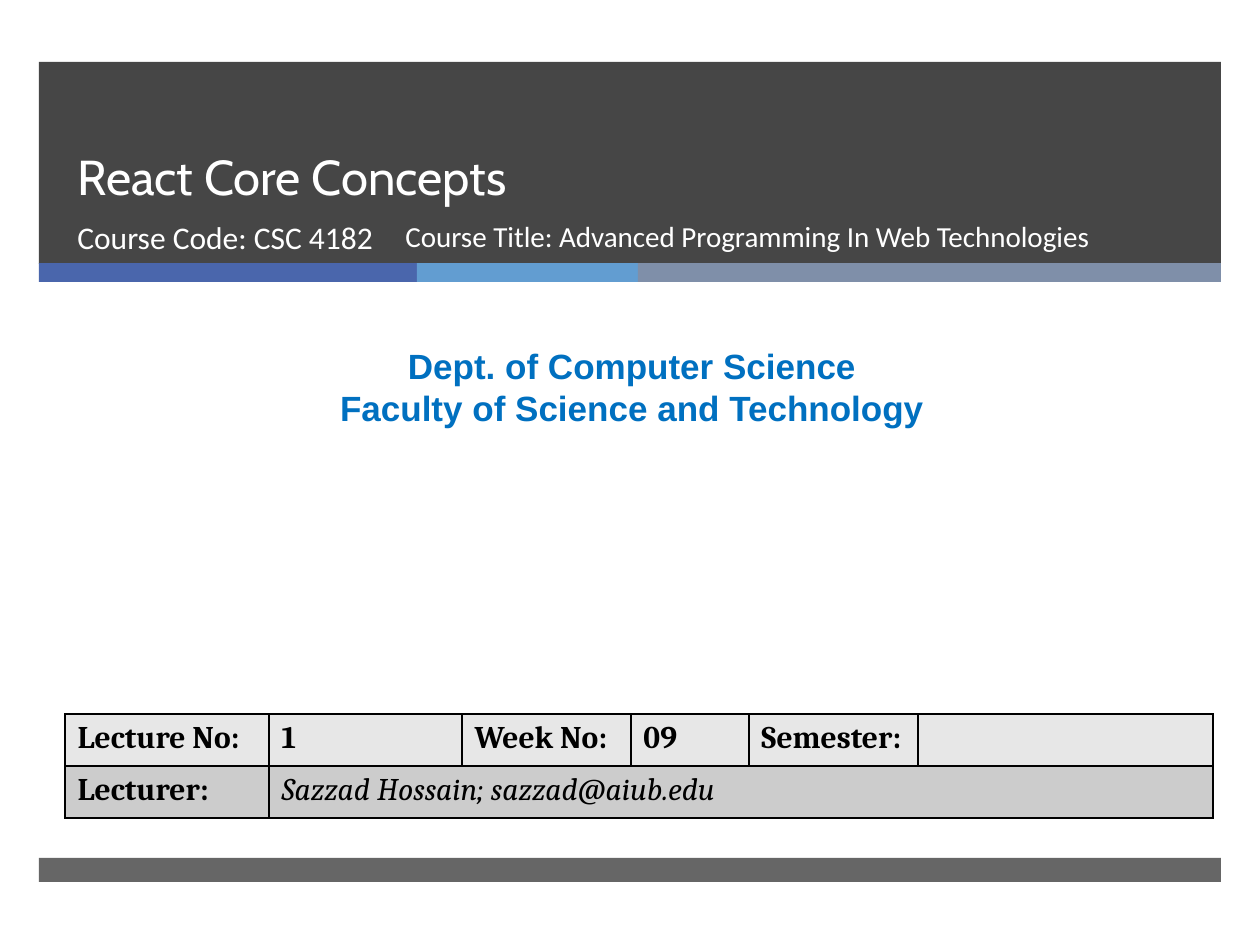
from dataclasses import dataclass
from itertools import accumulate

from lxml.etree import SubElement
from pptx import Presentation
from pptx.dml.color import RGBColor as RGB
from pptx.enum.shapes import MSO_SHAPE as Shape
from pptx.enum.text import MSO_ANCHOR as Anchor, MSO_AUTO_SIZE as Fit, PP_ALIGN as Align
from pptx.oxml import parse_xml
from pptx.oxml.ns import nsdecls, qn
from pptx.util import Emu, Pt

SCALE = 914400 / 126


@dataclass(frozen=True)
class Theme:
    dark: str = "262626"
    strip: tuple = ("4A66AC", "629DD1", "7F8FA9")
    rows: tuple = ("E7E7E7", "CCCCCC")
    white: str = "FFFFFF"
    black: str = "000000"
    blue: str = "0070C0"
    title: float = 28
    lead: float = 46
    body: float = 18
    course: float = 16.6
    dept: float = 20


LOOK = Theme()


def px(num):
    return Emu(round(num * SCALE))


def style(para, face, size, color, bold=False, italic=False):
    font = para.font
    font.name, font.size = face, Pt(size)
    font.bold, font.italic = bold, italic
    font.color.rgb = RGB.from_string(color)


def add_bar(slide, box, color, alpha=100):
    """Add a plain rectangle; alpha is its opacity in percent."""
    bar = slide.shapes.add_shape(Shape.RECTANGLE, *map(px, box))
    bar.shadow.inherit = False
    bar.line.fill.background()
    bar.fill.solid()
    bar.fill.fore_color.rgb = RGB.from_string(color)
    if alpha < 100:
        tone = bar.fill._xPr.find(qn("a:solidFill"))[0]
        SubElement(tone, qn("a:alpha"), val=str(alpha * 1000))


def set_title(slide, box, text):
    title = slide.shapes.title
    title.left, title.top, title.width, title.height = map(px, box)
    frame = title.text_frame
    frame.text = text
    frame.auto_size = Fit.NONE
    frame.vertical_anchor = Anchor.BOTTOM
    para = frame.paragraphs[0]
    para.alignment = Align.LEFT
    para.line_spacing = Pt(LOOK.lead)
    style(para, "Cabin", LOOK.title, LOOK.white)


def add_text(slide, box, lines, face, size, color, bold=False, align=Align.LEFT):
    frame = slide.shapes.add_textbox(*map(px, box)).text_frame
    frame.word_wrap = True
    frame.text = "\n".join(lines)
    for para in frame.paragraphs:
        para.alignment = align
        style(para, face, size, color, bold)


def set_edges(cell):
    props = cell._tc.get_or_add_tcPr()
    for i, side in enumerate("LRTB"):
        props.insert(i, parse_xml(
            f'<a:ln{side} {nsdecls("a")} w="12700"><a:solidFill>'
            f'<a:srgbClr val="{LOOK.black}"/></a:solidFill></a:ln{side}>'))


def add_grid(slide, left, top, cols, high, rows):
    """Add the lecture table; the last filled cell of a short row spans the rest."""
    grid = slide.shapes.add_table(len(rows), len(cols), px(left), px(top),
                                  px(sum(cols)), px(high * len(rows))).table
    for col, wide in zip(grid.columns, cols):
        col.width = px(wide)
    for r, (texts, shade) in enumerate(zip(rows, LOOK.rows)):
        grid.rows[r].height = px(high)
        for c in range(len(cols)):
            cell = grid.cell(r, c)
            cell.fill.solid()
            cell.fill.fore_color.rgb = RGB.from_string(shade)
            set_edges(cell)
            cell.text = texts[c] if c < len(texts) else ""
            italic = "@" in cell.text
            style(cell.text_frame.paragraphs[0], "Cambria", LOOK.body,
                  LOOK.black, not italic, italic)
        if len(texts) < len(cols):
            grid.cell(r, len(texts) - 1).merge(grid.cell(r, len(cols) - 1))


def main():
    deck = Presentation()
    deck.slide_width, deck.slide_height = px(1260), px(945)
    slide = deck.slides.add_slide(deck.slide_layouts[5])

    left, wide = 39, 1182
    add_bar(slide, (left, 62, wide, 202), LOOK.dark, 85)
    parts = (378, 221, 583)
    for end, part, color in zip(accumulate(parts), parts, LOOK.strip):
        add_bar(slide, (left + end - part, 263, part, 19), color)
    add_bar(slide, (left, 858, wide, 24), LOOK.dark, 70)

    # The bars are drawn first, so the title has to move in front of them.
    title = slide.shapes.title._element
    title.getparent().append(title)
    set_title(slide, (65, 62, 1076, 150), "React Core Concepts")
    add_text(slide, (65, 212, 384, 67), ["Course Code: CSC 4182"],
             "Calibri", LOOK.body, LOOK.white)
    add_text(slide, (393, 212, 748, 67),
             ["Course Title: Advanced Programming In Web Technologies"],
             "Calibri", LOOK.course, LOOK.white)
    add_text(slide, (10, 338, 1244, 97),
             ["Dept. of Computer Science", "Faculty of Science and Technology"],
             "Arial", LOOK.dept, LOOK.blue, True, Align.CENTER)
    add_grid(slide, 65, 714, (204, 193, 169, 118, 169, 295), 52, (
        ("Lecture No:", "1", "Week No:", "09", "Semester:", ""),
        ("Lecturer:", "Sazzad Hossain; sazzad@aiub.edu")))
    deck.save("out.pptx")


if __name__ == "__main__":
    main()
